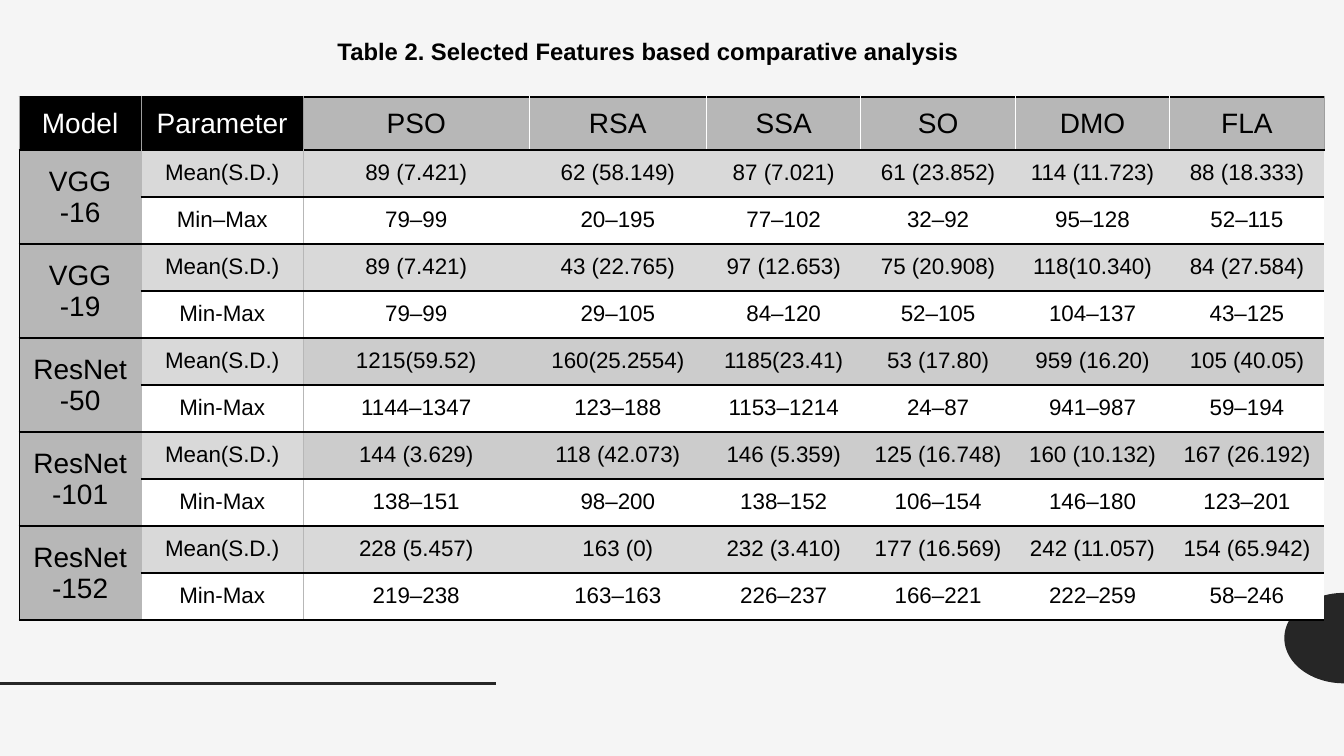
from dataclasses import dataclass
from math import cos, pi, sin

from lxml.etree import SubElement
from pptx import Presentation
from pptx.dml.color import RGBColor as RGB
from pptx.enum.shapes import MSO_CONNECTOR as CONN
from pptx.enum.text import MSO_ANCHOR as ANCHOR, PP_ALIGN as ALIGN
from pptx.oxml.ns import qn
from pptx.util import Pt

TITLE = "Table 2. Selected Features based comparative analysis"
HEADER = ["Model", "Parameter", "PSO", "RSA", "SSA", "SO", "DMO", "FLA"]
# Each model has a mean row and a range row, both starting with the parameter.
MODELS = {
    "VGG -16": (
        ["Mean(S.D.)", "89 (7.421)", "62 (58.149)", "87 (7.021)", "61 (23.852)", "114 (11.723)", "88 (18.333)"],
        ["Min–Max", "79–99", "20–195", "77–102", "32–92", "95–128", "52–115"]),
    "VGG -19": (
        ["Mean(S.D.)", "89 (7.421)", "43 (22.765)", "97 (12.653)", "75 (20.908)", "118(10.340)", "84 (27.584)"],
        ["Min-Max", "79–99", "29–105", "84–120", "52–105", "104–137", "43–125"]),
    "ResNet-50": (
        ["Mean(S.D.)", "1215(59.52)", "160(25.2554)", "1185(23.41)", "53 (17.80)", "959 (16.20)", "105 (40.05)"],
        ["Min-Max", "1144–1347", "123–188", "1153–1214", "24–87", "941–987", "59–194"]),
    "ResNet-101": (
        ["Mean(S.D.)", "144 (3.629)", "118 (42.073)", "146 (5.359)", "125 (16.748)", "160 (10.132)", "167 (26.192)"],
        ["Min-Max", "138–151", "98–200", "138–152", "106–154", "146–180", "123–201"]),
    "ResNet-152": (
        ["Mean(S.D.)", "228 (5.457)", "163 (0)", "232 (3.410)", "177 (16.569)", "242 (11.057)", "154 (65.942)"],
        ["Min-Max", "219–238", "163–163", "226–237", "166–221", "222–259", "58–246"]),
}
DARKER_MEANS = {"ResNet-50", "ResNet-101"}


@dataclass(frozen=True)
class Theme:
    font: str = "Arial"
    title: float = 17
    heading: float = 20
    body: float = 16
    page: str = "F5F5F5"
    ink: str = "000000"
    paper: str = "FFFFFF"
    accent: str = "262626"
    label: str = "B7B7B7"
    mean: str = "D9D9D9"
    darker_mean: str = "CCCCCC"
    divider: str = "9E9E9E"


T = Theme()
WIDTH, HEIGHT = 960, 540
TITLE_BOX = (119.5, 18.7, 687, 35.3)
TABLE_LEFT, TABLE_TOP = 13.7, 69
COLUMNS = [87.1, 115.9, 161.3, 126.7] + [110.3] * 4
HEADER_ROW, BODY_ROW = 38.4, 33.57
INSET = 7.2
RULE_Y, RULE_END = 488, 354.2
DISC_Y, DISC_RX, DISC_RY, DISC_STEPS = 455.8, 42.6, 32.3, 48
RULE, HAIR = 1.5, 0.75
PLAIN_TABLE = "{2D5ABB26-0587-4C30-8999-92F81FD0307C}"


def assign(obj, values):
    for name, value in values.items():
        setattr(obj, name, value)


def write(tf, text, size, color, bold=False):
    p = tf.paragraphs[0]
    p.alignment = ALIGN.CENTER
    r = p.add_run()
    r.text = text
    assign(r.font, dict(name=T.font, size=Pt(size), bold=bold))
    r.font.color.rgb = RGB.from_string(color)


def set_borders(cell, borders):
    """Add borders, a dict of side letter to (colour, points), before any fill."""
    tcPr = cell._tc.get_or_add_tcPr()
    for side in "LRTB":
        if side in borders:
            color, width = borders[side]
            ln = SubElement(tcPr, qn(f"a:ln{side}"), w=str(Pt(width)))
            SubElement(SubElement(ln, qn("a:solidFill")), qn("a:srgbClr"), val=color)


def format_cell(cell, text, size, color, fill, borders, anchor=ANCHOR.TOP):
    set_borders(cell, borders)
    cell.fill.solid()
    cell.fill.fore_color.rgb = RGB.from_string(fill)
    sides = ("left", "right", "top", "bottom")
    assign(cell, {f"margin_{side}": Pt(INSET) for side in sides})
    cell.vertical_anchor = anchor
    if text:
        write(cell.text_frame, text, size, color)


def add_decoration(s):
    points = []
    for i in range(DISC_STEPS + 1):
        angle = pi * (0.5 + i / DISC_STEPS)
        points.append((Pt(WIDTH + DISC_RX * cos(angle)), Pt(DISC_Y + DISC_RY * sin(angle))))
    outline = s.shapes.build_freeform(*points[0])
    outline.add_line_segments(points[1:])
    disc = outline.convert_to_shape()
    disc.shadow.inherit = False
    disc.fill.solid()
    disc.fill.fore_color.rgb = RGB.from_string(T.accent)
    disc.line.fill.background()

    rule = s.shapes.add_connector(CONN.STRAIGHT, 0, Pt(RULE_Y), Pt(RULE_END), Pt(RULE_Y))
    rule.line.width = Pt(2)
    rule.line.color.rgb = RGB.from_string(T.accent)
    SubElement(rule._element.spPr, qn("a:effectLst"))


def add_title(s):
    sp = s.shapes.title
    assign(sp, dict(zip(("left", "top", "width", "height"), map(Pt, TITLE_BOX))))
    tf = sp.text_frame
    assign(tf, dict(word_wrap=True, vertical_anchor=ANCHOR.TOP,
                    margin_top=Pt(INSET), margin_bottom=Pt(INSET)))
    write(tf, TITLE, T.title, T.ink, bold=True)


def add_results(s):
    heights = [HEADER_ROW] + [BODY_ROW] * (2 * len(MODELS))
    frame = s.shapes.add_table(len(heights), len(COLUMNS), Pt(TABLE_LEFT), Pt(TABLE_TOP),
                               Pt(sum(COLUMNS)), Pt(sum(heights)))
    table = frame.table
    table._tbl.tblPr.find(qn("a:tableStyleId")).text = PLAIN_TABLE
    assign(table, dict(first_row=False, horz_banding=False))
    for column, width in zip(table.columns, COLUMNS):
        column.width = Pt(width)
    for row, height in zip(table.rows, heights):
        row.height = Pt(height)

    rule, label_edge = (T.ink, RULE), (T.label, HAIR)
    divider, white_edge = (T.divider, HAIR), (T.paper, HAIR)
    last = len(HEADER) - 1
    for c, text in enumerate(HEADER):
        color, fill = (T.paper, T.ink) if c < 2 else (T.ink, T.label)
        borders = {"L": divider if c < 3 else white_edge,
                   "R": divider if c in (0, 1, last) else white_edge, "T": rule, "B": rule}
        format_cell(table.cell(0, c), text, T.heading, color, fill, borders, ANCHOR.MIDDLE)

    for m, (model, records) in enumerate(MODELS.items()):
        top = 1 + 2 * m
        table.cell(top, 0).merge(table.cell(top + 1, 0))
        for k, record in enumerate(records):
            format_cell(table.cell(top + k, 0), "" if k else model, T.heading, T.ink, T.label,
                        {"L": (T.ink, HAIR), "R": label_edge, "T": rule, "B": rule}, ANCHOR.MIDDLE)
            for c, text in enumerate(record, 1):
                mean = T.darker_mean if c > 1 and model in DARKER_MEANS else T.mean
                borders = {"B" if k else "T": rule}
                if c == 1:
                    borders["L"] = label_edge
                format_cell(table.cell(top + k, c), text, T.body, T.ink,
                            T.paper if k else mean, borders)


def main():
    prs = Presentation()
    assign(prs, dict(slide_width=Pt(WIDTH), slide_height=Pt(HEIGHT)))
    s = prs.slides.add_slide(prs.slide_layouts.get_by_name("Title Only"))
    s.background.fill.solid()
    s.background.fill.fore_color.rgb = RGB.from_string(T.page)
    add_decoration(s)
    add_title(s)
    add_results(s)
    prs.save("out.pptx")


if __name__ == "__main__":
    main()
